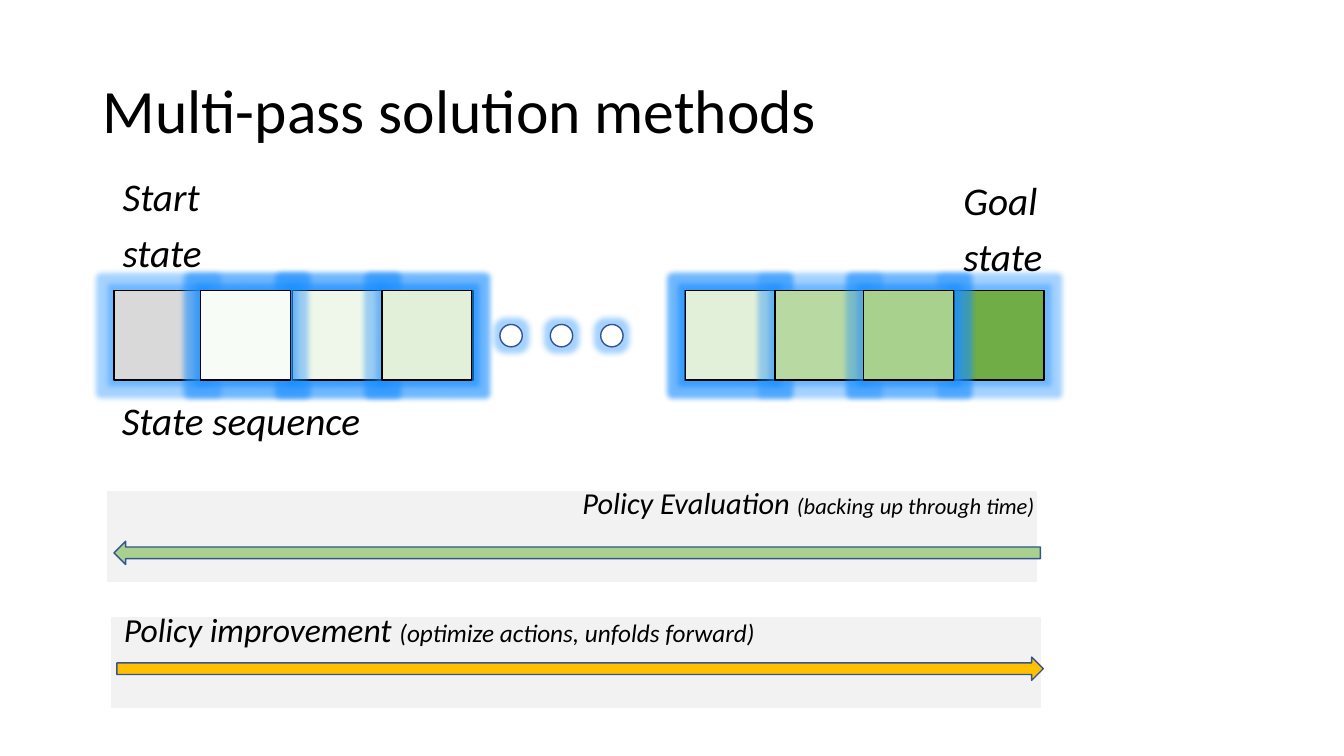
"""Build the multi-pass solution methods slide."""
from lxml.etree import SubElement
from pptx import Presentation
from pptx.dml.color import RGBColor
from pptx.enum.shapes import MSO_SHAPE
from pptx.enum.text import MSO_ANCHOR
from pptx.oxml.ns import qn
from pptx.util import Pt

THEME = {
    "font": "Calibri", "ink": "000000", "edge": "325491", "band": "F2F2F2",
    "white": "FFFFFF", "grey": "D9D9D9", "goal": "70AD47",
    "back": "A9D18E", "ahead": "FFC000", "glow": "1E90FF",
    "title": 44, "label": 28, "step": 24, "note": 18,
    "small": 21.7, "tiny": 16.1,
}

BANDS = [(79.9, 441.4), (77, 351.4)]
CELL, ROW, LEFT, RIGHT = 64.1, 207.4, 81.4, 488.9
START = [THEME["grey"]] + [THEME["white"]] * 3
UNDER = [(RIGHT, THEME["white"]), (617.8, THEME["white"])]
TINTS = [(208.8, "EEF7E9"), (272.9, "E2F0D9"), (143.3, "F8FCF6"),
         (489.6, "E2F0D9"), (553.7, "B9D9A3"), (617, THEME["back"])]
GOAL = (681.8, THEME["goal"])
DOTS, DOT, DOT_X, DOT_Y, DOT_GAP = 3, 16, 357.1, 231.8, 36
ARROWS = [(MSO_SHAPE.LEFT_ARROW, 81.4, 386.6, THEME["back"]),
          (MSO_SHAPE.RIGHT_ARROW, 83.5, 469.4, THEME["ahead"])]

TITLE = [[("Multi-pass solution methods", THEME["title"])]]
LABELS = [
    ([[("State sequence", THEME["label"])]], (79.9, 283, 196, 42.5), 0.9),
    ([[("Start", THEME["label"])], [("state", THEME["label"])]],
     (80.6, 123.1, 100.8, 78.5), 0.9),
    ([[("Goal", THEME["label"])], [("state", THEME["label"])]],
     (681.1, 126, 76.3, 77.8), 0.9),
    ([[("Policy improvement ", THEME["step"]),
       ("(optimize actions, unfolds forward)", THEME["note"])]],
     (81.4, 434.9, 583.2, 42.5), 0.9),
    ([[("Policy Evaluation ", THEME["small"]),
       ("(backing up through time)", THEME["tiny"])]],
     (409, 349.2, 345.6, 42.5), 0.7),
]


def shade(name):
    return RGBColor.from_string(name)


def draw(slide, kind, box, fill, line, glow=False):
    shape = slide.shapes.add_shape(kind, *map(Pt, box))
    shape.shadow.inherit = False
    shape.fill.solid()
    shape.fill.fore_color.rgb = shade(fill)
    shape.line.color.rgb = shade(line)
    shape.line.width = Pt(1)
    if glow:
        list_ = shape.element.spPr.find(qn("a:effectLst"))
        halo = SubElement(list_, qn("a:glow"), rad=str(Pt(8)))
        tint = SubElement(halo, qn("a:srgbClr"), val=THEME["glow"])
        SubElement(tint, qn("a:alpha"), val="40000")


def write(slide, lines, box, space=0.9, italic=True, anchor=MSO_ANCHOR.TOP):
    frame = slide.shapes.add_textbox(*map(Pt, box)).text_frame
    frame.word_wrap = True
    frame.vertical_anchor = anchor
    for i, parts in enumerate(lines):
        para = frame.add_paragraph() if i else frame.paragraphs[0]
        para.line_spacing = space
        para.space_before = Pt(10 if i else 0)
        for text, size in parts:
            run = para.add_run()
            run.text = text
            run.font.name = THEME["font"]
            run.font.size = Pt(size)
            run.font.italic = italic
            run.font.color.rgb = shade(THEME["ink"])


def main():
    deck = Presentation()
    deck.slide_width, deck.slide_height = Pt(960), Pt(540)
    slide = deck.slides.add_slide(deck.slide_layouts[6])

    for x, y in BANDS:
        draw(slide, MSO_SHAPE.RECTANGLE, (x, y, 663.1, CELL),
             THEME["band"], THEME["band"])
    write(slide, TITLE, (66.2, 28.8, 828, 104.4), italic=False,
          anchor=MSO_ANCHOR.MIDDLE)

    first = [(LEFT + i * CELL, fill) for i, fill in enumerate(START)]
    for x, fill in first + [GOAL] + UNDER + TINTS:
        draw(slide, MSO_SHAPE.RECTANGLE, (x, ROW, CELL, CELL),
             fill, THEME["ink"], glow=True)
    for i in range(DOTS):
        draw(slide, MSO_SHAPE.OVAL, (DOT_X + i * DOT_GAP, DOT_Y, DOT, DOT),
             THEME["white"], THEME["edge"], glow=True)
    for kind, x, y, fill in ARROWS:
        draw(slide, kind, (x, y, 661.7, 16.6), fill, THEME["edge"])
    for lines, box, space in LABELS:
        write(slide, lines, box, space)

    deck.save("out.pptx")


if __name__ == "__main__":
    main()
